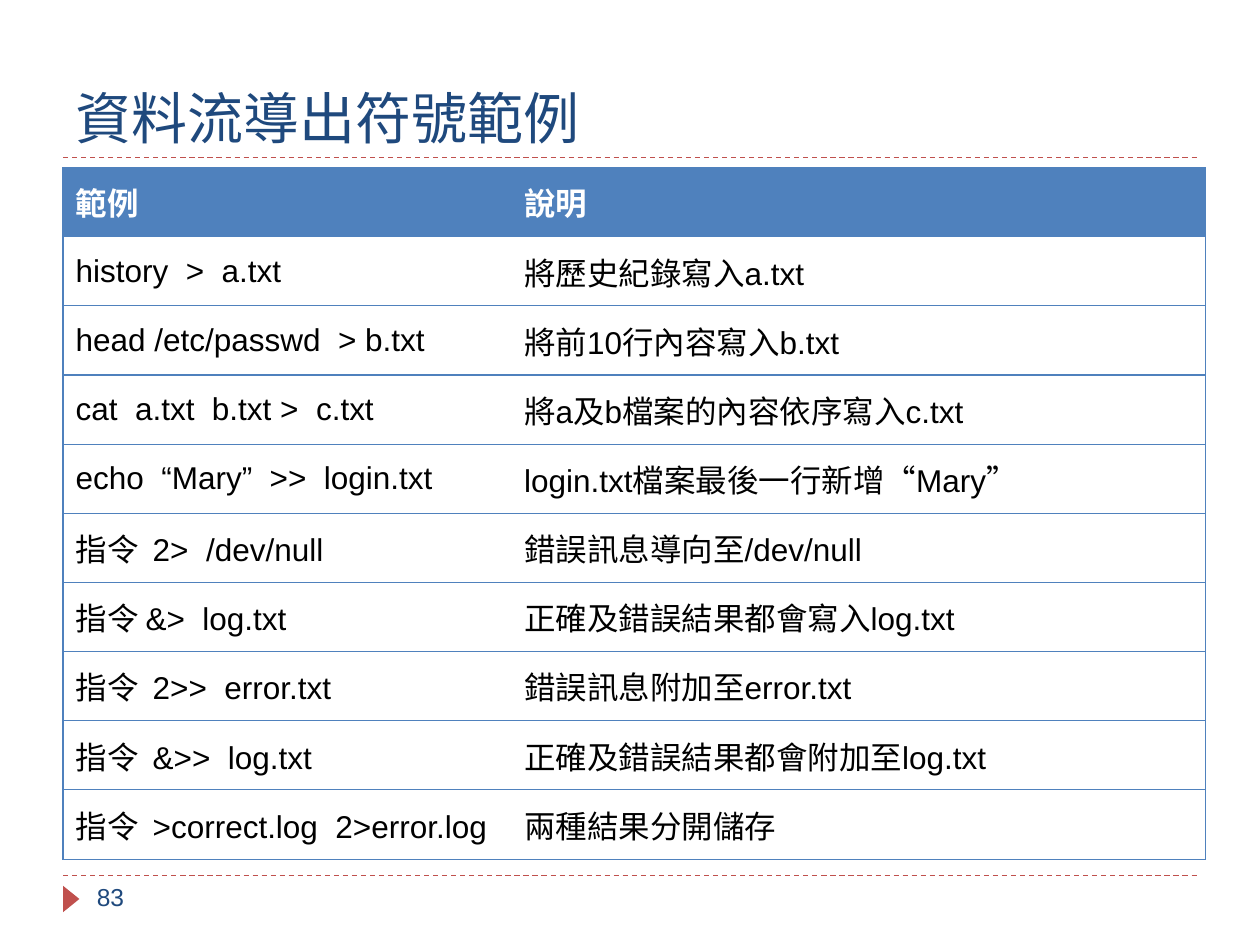
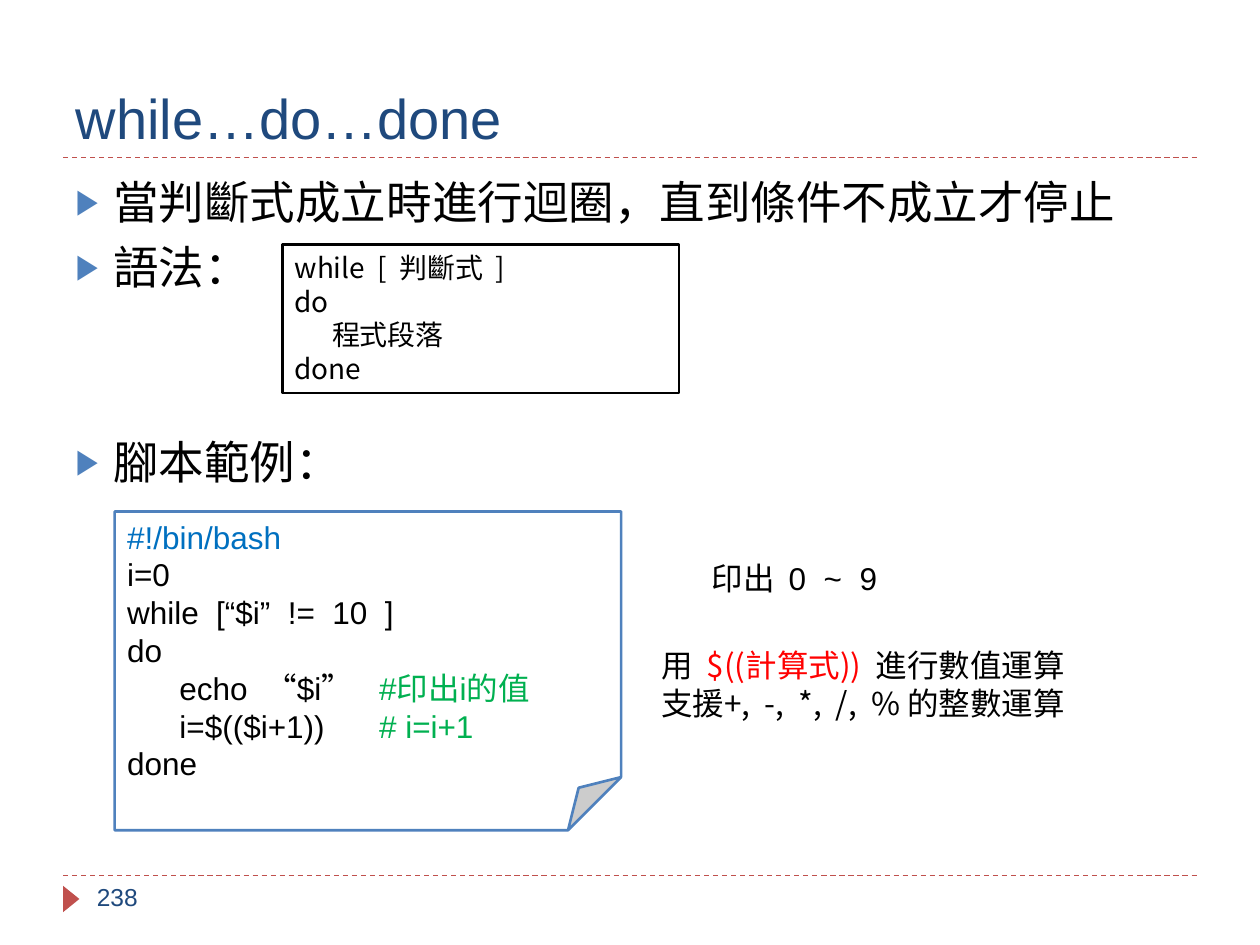
import pptx
import pptx.dml.color
import pptx.enum.dml
import pptx.enum.shapes
import pptx.enum.text
import pptx.oxml
import pptx.oxml.ns
import pptx.util
from lxml import etree

Pt = pptx.util.Pt
RGBColor = pptx.dml.color.RGBColor
Shapes = pptx.enum.shapes.MSO_SHAPE
Anchor = pptx.enum.text.MSO_ANCHOR
AutoSize = pptx.enum.text.MSO_AUTO_SIZE
Align = pptx.enum.text.PP_ALIGN
qn = pptx.oxml.ns.qn

NAVY = RGBColor(0x1F, 0x49, 0x7D)
BLUE = RGBColor(0x4F, 0x81, 0xBD)
BRICK = RGBColor(0xC0, 0x50, 0x4D)
SHEBANG = RGBColor(0x00, 0x70, 0xC0)
GREEN = RGBColor(0x00, 0xB0, 0x50)
RED = RGBColor(0xFF, 0x00, 0x00)
BLACK = RGBColor(0x00, 0x00, 0x00)
WHITE = RGBColor(0xFF, 0xFF, 0xFF)

LATIN = "Arial"
CJK = "Noto Sans CJK SC"
LEFT, WIDTH = 36, 648
TITLE_RULE, FOOTER_RULE = 90, 500.4
CONTENT_TOP = 95.76
TITLE_AND_BODY, TITLE_ONLY = 1, 5


class Deck:
    """Holds the shared style and the slide being built."""

    def __init__(self):
        self.presentation = pptx.Presentation()
        self.presentation.slide_width = Pt(720)
        self.presentation.slide_height = Pt(540)
        self.slide = None

    def start_slide(self, layout, title, number):
        layouts = self.presentation.slide_layouts
        self.slide = self.presentation.slides.add_slide(layouts[layout])
        for y in (FOOTER_RULE, TITLE_RULE):
            self.dashed_rule(y)
        marker = self.shape(Shapes.ISOSCELES_TRIANGLE, (33.12, 509.04, 15.12, 9.36), BRICK)
        marker.rotation = 90
        heading = self.slide.shapes.title
        self.place(heading, (LEFT, 12.24, WIDTH, 77.76))
        self.fill_text(heading.text_frame, [title], 32, color=NAVY, anchor=Anchor.BOTTOM)
        self.text_box((48.24, FOOTER_RULE, 156.24, 28.8), [number], 14, color=NAVY)

    def place(self, shape, box):
        shape.left, shape.top, shape.width, shape.height = map(Pt, box)

    def fill_text(self, frame, lines, size, font=LATIN, color=BLACK, anchor=Anchor.TOP,
                  auto_size=AutoSize.NONE):
        """Each line is a string or a list of (text, colour) runs."""
        frame.word_wrap = True
        frame.auto_size = auto_size
        frame.vertical_anchor = anchor
        for index, line in enumerate(lines):
            paragraph = frame.add_paragraph() if index else frame.paragraphs[0]
            self.style_paragraph(paragraph, size, font, color)
            if isinstance(line, str):
                line = [(line, color)]
            if len(line) == 1:
                paragraph.font.color.rgb = line[0][1]
            for text, run_color in line:
                run = paragraph.add_run()
                run.text = text
                if len(line) > 1:
                    run.font.color.rgb = run_color

    def style_paragraph(self, paragraph, size, font, color, bold=False):
        paragraph.alignment = Align.LEFT
        paragraph.font.size = Pt(size)
        paragraph.font.name = font
        paragraph.font.bold = bold
        paragraph.font.color.rgb = color

    def dashed_rule(self, y):
        rule = self.slide.shapes.add_connector(
            pptx.enum.shapes.MSO_CONNECTOR.STRAIGHT, Pt(LEFT), Pt(y), Pt(LEFT + WIDTH), Pt(y))
        rule.line.color.rgb = BRICK
        rule.line.width = Pt(0.75)
        rule.line.dash_style = pptx.enum.dml.MSO_LINE.DASH
        etree.SubElement(rule._element.spPr, qn("a:effectLst"))

    def shape(self, kind, box, fill, line=None):
        shape = self.slide.shapes.add_shape(kind, *map(Pt, box))
        shape.shadow.inherit = False
        shape.fill.solid()
        shape.fill.fore_color.rgb = fill
        if line is None:
            shape.line.fill.background()
        else:
            shape.line.color.rgb = line
            shape.line.width = Pt(1.5)
        return shape

    def text_box(self, box, lines, size, **style):
        text_box = self.slide.shapes.add_textbox(*map(Pt, box))
        self.fill_text(text_box.text_frame, lines, size, **style)

    def bullets(self, items):
        """Each item is (text, space before)."""
        body = self.slide.placeholders[1]
        self.place(body, (LEFT, CONTENT_TOP, WIDTH, 388.8))
        frame = body.text_frame
        frame.auto_size = AutoSize.NONE
        for index, (text, space) in enumerate(items):
            paragraph = frame.add_paragraph() if index else frame.paragraphs[0]
            paragraph.text = text
            self.add_bullet(paragraph)
            paragraph.space_before = Pt(space)
            self.style_paragraph(paragraph, 26, LATIN, BLACK)

    def add_bullet(self, paragraph):
        properties = paragraph._p.get_or_add_pPr()
        properties.set("marL", str(Pt(21.6)))
        properties.set("indent", str(Pt(-21.6)))
        color = etree.SubElement(properties, qn("a:buClr"))
        etree.SubElement(color, qn("a:srgbClr"), val=str(BLUE))
        etree.SubElement(properties, qn("a:buSzPct"), val="76000")
        etree.SubElement(properties, qn("a:buFont"), typeface=LATIN)
        etree.SubElement(properties, qn("a:buChar"), char="▶")

    def table(self, rows, widths, row_height):
        frame = self.slide.shapes.add_table(
            len(rows), len(widths), Pt(LEFT), Pt(CONTENT_TOP),
            Pt(sum(widths)), Pt(row_height * len(rows)))
        table = frame.table
        table.horz_banding = False
        for column, width in zip(table.columns, widths):
            column.width = Pt(width)
        for row_index, texts in enumerate(rows):
            table.rows[row_index].height = Pt(row_height)
            header = row_index == 0
            for column_index, text in enumerate(texts):
                cell = table.cell(row_index, column_index)
                cell.text = text
                cell.vertical_anchor = Anchor.MIDDLE
                self.style_paragraph(cell.text_frame.paragraphs[0], 18, LATIN,
                                     WHITE if header else BLACK, header)
                self.cell_borders(cell, column_index == 0, column_index == len(widths) - 1)
                cell.fill.solid()
                cell.fill.fore_color.rgb = BLUE if header else WHITE

    def cell_borders(self, cell, first, last):
        properties = cell._tc.get_or_add_tcPr()
        for side, visible in (("L", first), ("R", last), ("T", True), ("B", True)):
            border = etree.SubElement(properties, qn("a:ln" + side), w=str(Pt(0.75)))
            if visible:
                fill = etree.SubElement(border, qn("a:solidFill"))
                etree.SubElement(fill, qn("a:srgbClr"), val=str(BLUE))
            else:
                etree.SubElement(border, qn("a:noFill"))


def redirection_slide(deck):
    deck.start_slide(TITLE_ONLY, "資料流導出符號範例", "83")
    deck.table([
        ("範例", "說明"),
        ("history  >  a.txt", "將歷史紀錄寫入a.txt"),
        ("head /etc/passwd  > b.txt", "將前10行內容寫入b.txt"),
        ("cat  a.txt  b.txt >  c.txt", "將a及b檔案的內容依序寫入c.txt"),
        ("echo  “Mary”  >>  login.txt", "login.txt檔案最後一行新增“Mary”"),
        ("指令  2>  /dev/null", "錯誤訊息導向至/dev/null"),
        ("指令 &>  log.txt", "正確及錯誤結果都會寫入log.txt"),
        ("指令  2>>  error.txt", "錯誤訊息附加至error.txt"),
        ("指令  &>>  log.txt", "正確及錯誤結果都會附加至log.txt"),
        ("指令  >correct.log  2>error.log", "兩種結果分開儲存"),
    ], widths=(256.32, 396.72), row_height=39.53)


def while_loop_slide(deck):
    deck.start_slide(TITLE_AND_BODY, "while…do…done", "238")
    deck.bullets([
        ("當判斷式成立時進行迴圈，直到條件不成立才停止", 0),
        ("語法：", 6),
        ("腳本範例：", 80.3),
    ])

    # Syntax
    syntax = deck.shape(Shapes.RECTANGLE, (161.28, 139.68, 226.8, 84.96), WHITE, BLACK)
    deck.fill_text(syntax.text_frame,
                   ["while  [  判斷式  ]", "do", "      程式段落", "done"],
                   16, font=CJK, auto_size=AutoSize.SHAPE_TO_FIT_TEXT)

    # Remarks beside the script
    deck.text_box((399.6, 316.08, 112.32, 28.8), ["印出  0  ~  9"], 18)
    deck.text_box((370.8, 365.76, 250.56, 51.12), [
        [("用  ", BLACK), ("$((計算式))  ", RED), ("進行數值運算", BLACK)],
        "支援+,  -,  *,  /,  % 的整數運算",
    ], 18, font=CJK)

    # Example script
    script = deck.shape(Shapes.FOLDED_CORNER, (65.52, 292.32, 289.44, 182.16), WHITE, BLUE)
    deck.fill_text(script.text_frame, [
        [("#!/bin/bash", SHEBANG)],
        "i=0",
        "while  [“$i”  !=  10  ]",
        "do",
        [("      echo  “$i”\t", BLACK), ("#印出i的值", GREEN)],
        [("      i=$(($i+1))  \t", BLACK), ("# i=i+1", GREEN)],
        "done",
    ], 18)


def main():
    deck = Deck()
    redirection_slide(deck)
    while_loop_slide(deck)
    deck.presentation.save("out.pptx")


if __name__ == "__main__":
    main()
